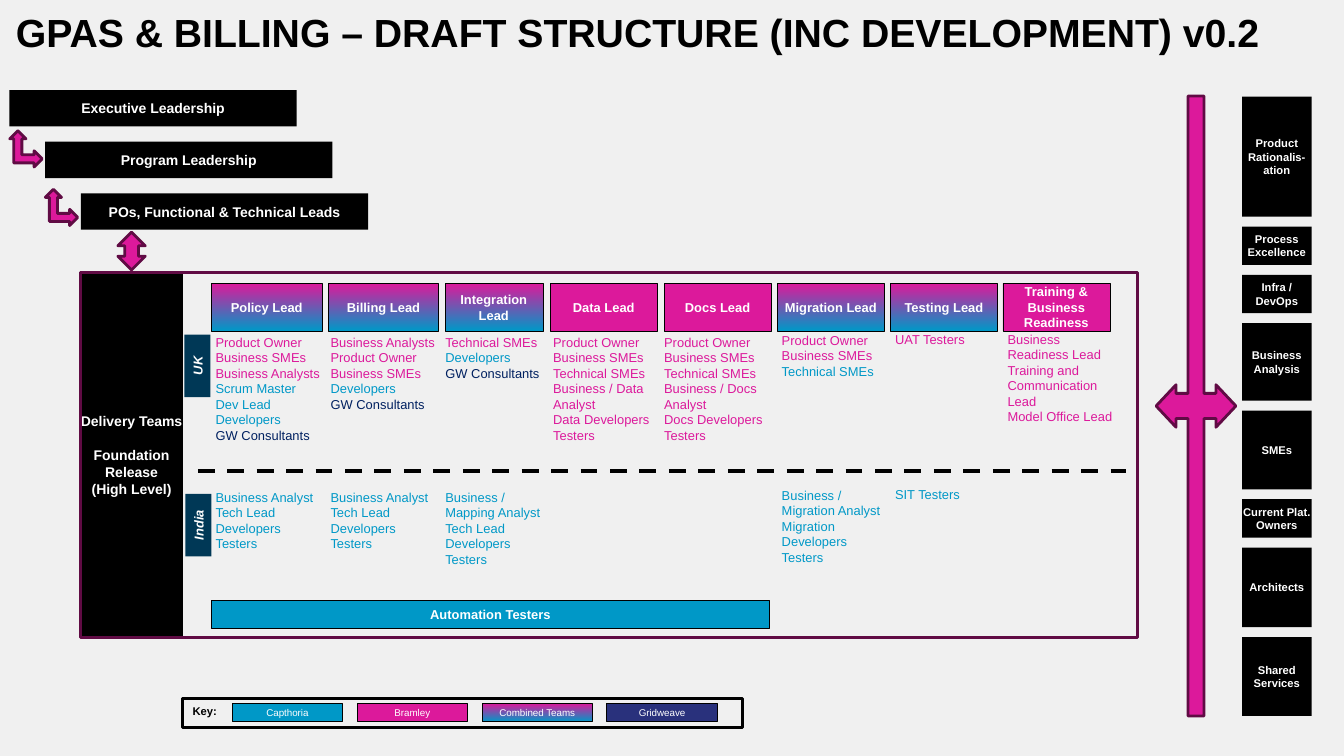
"""Build the delivery structure slide with its teams, leads and colour key."""
from pptx import Presentation
from pptx.dml.color import RGBColor
from pptx.enum.dml import MSO_LINE
from pptx.enum.shapes import MSO_CONNECTOR, MSO_SHAPE as SHAPE
from pptx.enum.text import MSO_ANCHOR as ANCHOR, PP_ALIGN as ALIGN
from pptx.oxml.ns import qn
from pptx.util import Pt
from lxml.etree import SubElement

PINK = RGBColor(0xDC, 0x19, 0x9B)
BLUE = RGBColor(0x00, 0x98, 0xC7)
NAVY = RGBColor(0x00, 0x20, 0x60)
INDIGO = RGBColor(0x29, 0x31, 0x7C)
TEAL = RGBColor(0x00, 0x38, 0x56)
PLUM = RGBColor(0x60, 0x0B, 0x44)
BLACK = RGBColor(0, 0, 0)
WHITE = RGBColor(0xFF, 0xFF, 0xFF)
GREY = RGBColor(0xF0, 0xF0, 0xF0)
BLEND = (PINK, BLUE)

TITLE = "GPAS & BILLING – DRAFT STRUCTURE (INC DEVELOPMENT) v0.2"
LEVELS = ["Executive Leadership", "Program Leadership", "POs, Functional & Technical Leads"]
DELIVERY = ["Delivery Teams", "Foundation Release", "(High Level)"]
SITES = [("UK", 118.8, 252), ("India", 119.5, 365.8)]

GW = (NAVY, "GW Consultants")
CREW = [(BLUE, "Business Analyst", "Tech Lead", "Developers", "Testers")]
COLUMNS = [
    ("Policy Lead", BLEND, 151, 79, 146.9, 235.4,
     [(PINK, "Product Owner", "Business SMEs", "Business Analysts"),
      (BLUE, "Scrum Master", "Dev Lead", "Developers"), GW], CREW),
    ("Billing Lead", BLEND, 234.7, 78.5, 229, 235.4,
     [(PINK, "Business Analysts", "Product Owner", "Business SMEs"),
      (BLUE, "Developers"), GW], CREW),
    ("Integration Lead", BLEND, 317.7, 70, 311, 235.4,
     [(PINK, "Technical SMEs"), (BLUE, "Developers"), GW],
     [(BLUE, "Business / Mapping Analyst", "Tech Lead", "Developers", "Testers")]),
    ("Data Lead", PINK, 393, 76.5, 388, 235.4,
     [(PINK, "Product Owner", "Business SMEs", "Technical SMEs",
       "Business / Data Analyst", "Data Developers", "Testers")], []),
    ("Docs Lead", PINK, 474.3, 76.5, 467.3, 235.4,
     [(PINK, "Product Owner", "Business SMEs", "Technical SMEs",
       "Business / Docs Analyst", "Docs Developers", "Testers")], []),
    ("Migration Lead", BLEND, 555.2, 76.5, 551.3, 234,
     [(PINK, "Product Owner", "Business SMEs"), (BLUE, "Technical SMEs")],
     [(BLUE, "Business / Migration Analyst", "Migration Developers", "Testers")]),
    ("Testing Lead", BLEND, 636, 76.5, 632.2, 233.3,
     [(PINK, "UAT Testers")], [(BLUE, "SIT Testers")]),
    ("Training & Business Readiness", PINK, 716.3, 76.5, 712.6, 233.3,
     [(PINK, "Business Readiness Lead", "Training and Communication Lead",
       "Model Office Lead")], []),
]
SUPPORT = [
    ("Product Rationalis-ation", 85.7), ("Process Excellence", 27.4),
    ("Infra / DevOps", 27.4), ("Business Analysis", 55.4), ("SMEs", 56.2),
    ("Current Plat. Owners", 27.4), ("Architects", 56.9), ("Shared Services", 56.2),
]
KEY = [("Capthoria", BLUE), ("Bramley", PINK), ("Combined Teams", BLEND), ("Gridweave", INDIGO)]

deck = Presentation()
deck.slide_width, deck.slide_height = Pt(960), Pt(540)
slide = deck.slides.add_slide(deck.slide_layouts[6])
slide.background.fill.solid()
slide.background.fill.fore_color.rgb = GREY
shapes = slide.shapes


def write(shape, groups, size=9.2, bold=False, italic=False, align=ALIGN.CENTER,
          anchor=ANCHOR.MIDDLE, pad=(0, 0), gaps=()):
    """Fill a shape with groups of one colour and its lines."""
    frame = shape.text_frame
    frame.word_wrap = True
    frame.vertical_anchor = anchor
    frame.margin_left = frame.margin_right = Pt(pad[0])
    frame.margin_top = frame.margin_bottom = Pt(pad[1])
    lines = [(tint, line) for tint, *rest in groups for line in rest]
    for i, (tint, line) in enumerate(lines):
        para = frame.add_paragraph() if i else frame.paragraphs[0]
        para.alignment = align
        if i in gaps:
            para.space_before = Pt(12)
        run = para.add_run()
        run.text = line
        font = run.font
        font.name, font.size, font.bold, font.italic = "Arial", Pt(size), bold, italic
        font.color.rgb = tint


def block(x, y, w, h, fill=None, line=None, width=0.25, kind=SHAPE.RECTANGLE):
    """Draw one preset shape with a plain, blended or empty fill."""
    shape = shapes.add_shape(kind, Pt(x), Pt(y), Pt(w), Pt(h))
    shape.shadow.inherit = False
    if fill is None:
        shape.fill.background()
    elif fill is BLEND:
        shape.fill.gradient()
        shape.fill.gradient_angle = 270
        for stop, tint in zip(shape.fill.gradient_stops, BLEND):
            stop.color.rgb = tint
    else:
        shape.fill.solid()
        shape.fill.fore_color.rgb = fill
    if line is None:
        shape.line.fill.background()
    else:
        shape.line.color.rgb = line
        shape.line.width = Pt(width)
    return shape


def label(x, y, w, h, groups, **style):
    """Place a text box whose lines start at its top left."""
    box = shapes.add_textbox(Pt(x), Pt(y), Pt(w), Pt(h))
    write(box, groups, align=ALIGN.LEFT, anchor=ANCHOR.TOP, **style)


def arrow(x, y, w, h, kind):
    """Draw a pink arrow shape."""
    return block(x, y, w, h, PINK, PLUM, 2, kind)


label(4.3, 2.2, 914, 41, [(BLACK, TITLE)], size=28, bold=True, pad=(7.2, 3.6))

for i, level in enumerate(LEVELS):
    write(block(6.7 + 25.5 * i, 64.3 + 36.9 * i, 205.2, 26, BLACK),
          [(WHITE, level)], size=10, bold=True)
for i in range(2):
    bend = arrow(7 + 25.4 * i, 93.4 + 41.8 * i, 23.2, 25.9, SHAPE.LEFT_UP_ARROW)
    bend.element.spPr.xfrm.set("flipH", "1")
arrow(84.2, 165.8, 19.6, 27, SHAPE.UP_DOWN_ARROW)

write(block(57.2, 194.5, 73.5, 261, BLACK), [(WHITE, *DELIVERY)], size=10, bold=True, gaps=(1,))
for site, x, y in SITES:
    tag = block(x, y, 44.6, 18.6, TEAL)
    tag.rotation = 270
    write(tag, [(WHITE, site)], bold=True, italic=True)

for name, fill, x, w, left, top, uk, india in COLUMNS:
    write(block(x, 202.4, w, 34, fill, BLACK), [(WHITE, name)], bold=True)
    for y, h, crew in ((top, 88, uk), (top + 110.7, 64, india)):
        if crew:
            label(left, y, 93, h, crew, pad=(7.2, 3.6))
write(block(150.8, 429, 399, 19.8, BLUE, BLACK), [(WHITE, "Automation Testers")], bold=True)
block(57.6, 194.5, 755.2, 261, line=PLUM, width=2)

split = shapes.add_connector(MSO_CONNECTOR.STRAIGHT, Pt(141.3), Pt(336.3), Pt(804.2), Pt(336.3))
split.line.color.rgb = BLACK
split.line.width = Pt(3)
split.line.dash_style = MSO_LINE.DASH
SubElement(split.element.spPr, qn("a:effectLst"))

cross = arrow(825.8, 68.6, 57, 442.8, SHAPE.LEFT_RIGHT_ARROW_CALLOUT)
for i, value in enumerate((0.315, 0.266, 0.25, 0.199)):
    cross.adjustments[i] = value

top = 69
for name, h in SUPPORT:
    write(block(887.2, top, 49.7, h, BLACK), [(WHITE, name)], size=8, bold=True)
    top += h + 7.1

block(130.3, 498.9, 400, 20.6, line=BLACK, width=2)
label(137.5, 503.3, 24, 9.5, [(BLACK, "Key:")], size=8, bold=True)
for i, (name, fill) in enumerate(KEY):
    write(block(166 + 89.2 * i, 502.5, 78.7, 13, fill, BLACK, 0.75), [(WHITE, name)], size=7)

deck.save("out.pptx")
